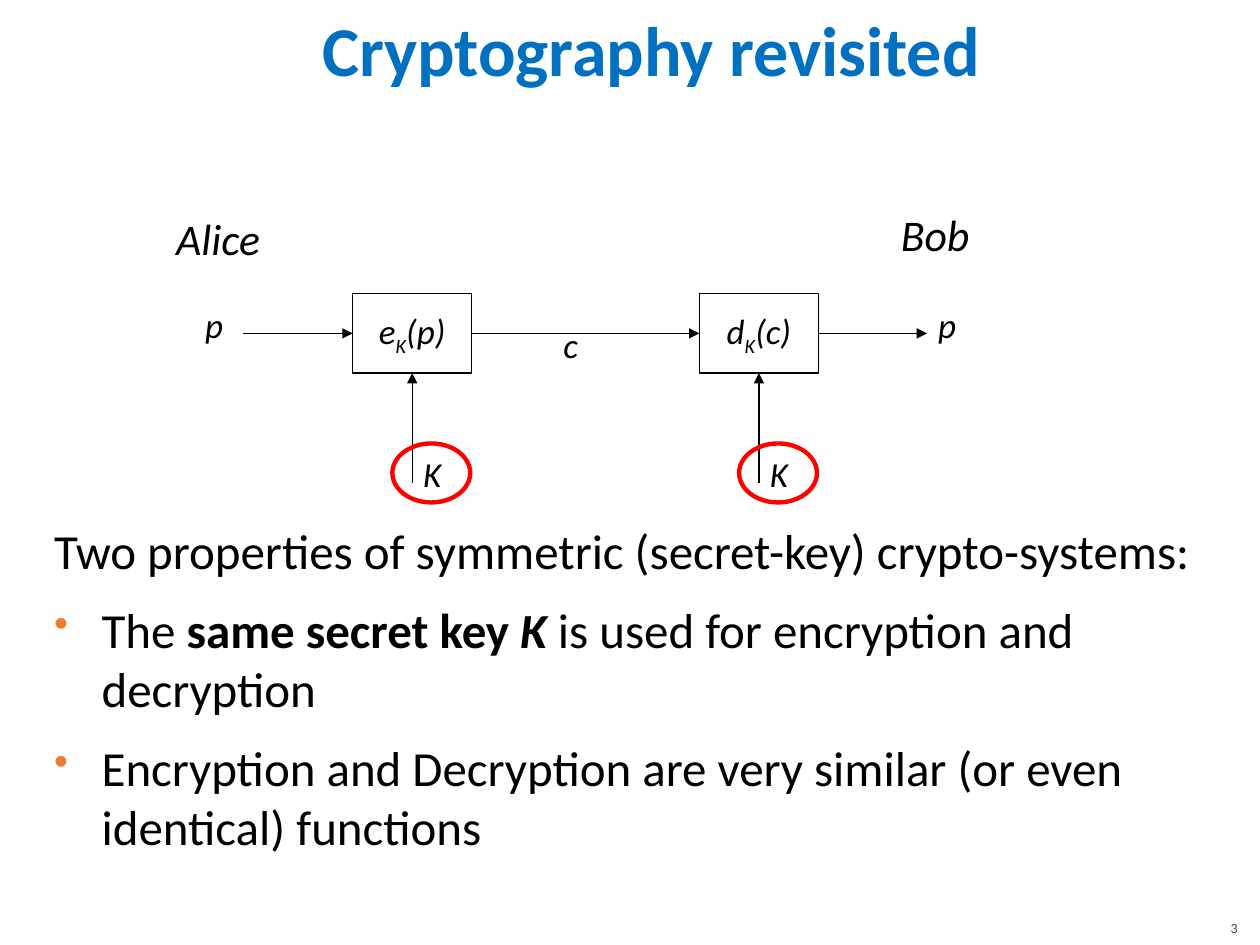
from lxml import etree
from pptx import Presentation
from pptx.dml.color import RGBColor
from pptx.enum.shapes import MSO_CONNECTOR, MSO_SHAPE
from pptx.enum.text import MSO_ANCHOR, PP_ALIGN
from pptx.oxml.ns import qn
from pptx.util import Cm, Pt

LEFT, MID = PP_ALIGN.LEFT, PP_ALIGN.CENTER
TOP, CENTER = MSO_ANCHOR.TOP, MSO_ANCHOR.MIDDLE
RECT, OVAL = MSO_SHAPE.RECTANGLE, MSO_SHAPE.OVAL
STRAIGHT = MSO_CONNECTOR.STRAIGHT

BLACK = RGBColor(0x00, 0x00, 0x00)
BLUE = RGBColor(0x00, 0x70, 0xC0)
NAVY = RGBColor(0x39, 0x40, 0x73)
RED = RGBColor(0xFF, 0x00, 0x00)
ORANGE = RGBColor(0xED, 0x7D, 0x31)
FONT = "Calibri"
PAD = (0.25, 0.13, 0.25, 0.13)
NONE = (0, 0, 0, 0)


def add_runs(para, parts, size, color=BLACK, bold=False, italic=False, align=LEFT):
    """Parts is a string or a list of (text, marks); marks: b bold, i italic, s subscript."""
    para.alignment = align
    for text, marks in [(parts, "")] if isinstance(parts, str) else parts:
        run = para.add_run()
        run.text = text
        font = run.font
        font.name, font.size, font.color.rgb = FONT, Pt(size), color
        font.bold, font.italic = bold or "b" in marks, italic or "i" in marks
        if "s" in marks:
            run._r.get_or_add_rPr().set("baseline", "-25000")


def set_frame(frame, pad, anchor=TOP, wrap=True):
    frame.word_wrap, frame.vertical_anchor = wrap, anchor
    (frame.margin_left, frame.margin_top,
     frame.margin_right, frame.margin_bottom) = map(Cm, pad)


def add_text(slide, box, parts, size, pad=PAD, anchor=TOP, wrap=True, **form):
    frame = slide.shapes.add_textbox(*map(Cm, box)).text_frame
    set_frame(frame, pad, anchor, wrap)
    add_runs(frame.paragraphs[0], parts, size, **form)


def add_outline(slide, kind, box, color, width):
    shape = slide.shapes.add_shape(kind, *map(Cm, box))
    shape.shadow.inherit = False
    shape.fill.background()
    shape.line.color.rgb, shape.line.width = color, Pt(width)
    return shape


def add_arrow(slide, *ends):
    arrow = slide.shapes.add_connector(STRAIGHT, *map(Cm, ends))
    arrow.line.color.rgb, arrow.line.width = BLACK, Pt(0.75)
    props = arrow._element.spPr
    etree.SubElement(props.find(qn("a:ln")), qn("a:tailEnd"), type="triangle")
    etree.SubElement(props, qn("a:effectLst"))


def add_bullet(para):
    props = para._p.get_or_add_pPr()
    tint = etree.SubElement(props, qn("a:buClr"))
    etree.SubElement(tint, qn("a:srgbClr"), val=str(ORANGE))
    etree.SubElement(props, qn("a:buSzPct"), val="85000")
    etree.SubElement(props, qn("a:buChar"), char="•")


def draw_stage(slide, left, top, name, arg):
    """One cipher box with its key arrow, key label and red ring."""
    wide, high = 2.4, 1.6
    mid = left + wide / 2
    cell = add_outline(slide, RECT, (left, top, wide, high), BLACK, 0.75)
    set_frame(cell.text_frame, NONE, CENTER)
    add_runs(cell.text_frame.paragraphs[0],
             [(name, ""), ("K", "s"), (f"({arg})", "")], 20, italic=True, align=MID)
    add_arrow(slide, mid, top + 3.81, mid, top + high)
    draw_label(slide, mid, top + 3.2, "K")
    add_outline(slide, OVAL, (left + 0.8, top + 3.02, 1.57, 1.19), RED, 2.5)


def draw_label(slide, left, top, text):
    add_text(slide, (left, top, 0.81, 0.84), text, 20, pad=NONE,
             italic=True, align=MID)


def draw_cipher(slide, left, top):
    """The flow from plain text through both stages and back."""
    for start, end in ((0.99, 3.2), (5.6, 10.19), (12.59, 14.78)):
        add_arrow(slide, left + start, top + 0.8, left + end, top + 0.8)
    draw_stage(slide, left + 3.2, top, "e", "p")
    draw_stage(slide, left + 10.19, top, "d", "c")
    for x, y, text in ((0, 0.2, "p"), (7.19, 0.61, "c"), (14.78, 0.2, "p")):
        draw_label(slide, left + x, top + y, text)
    for x, y, name in ((-0.61, -1.78, "Alice"), (14, -1.86, "Bob")):
        add_text(slide, (left + x, top + y, 3.15, 1.32), name, 25, italic=True)


def draw_points(slide, box):
    frame = slide.shapes.add_textbox(*map(Cm, box)).text_frame
    set_frame(frame, PAD)
    points = [
        "Two properties of symmetric (secret-key) crypto-systems:",
        [("The ", ""), ("same secret key ", "b"), ("K ", "bi"),
         ("is used for encryption and decryption", "")],
        "Encryption and Decryption are very similar (or even identical) functions",
    ]
    for i, parts in enumerate(points):
        para = frame.add_paragraph() if i else frame.paragraphs[0]
        para.space_after = Pt(6)
        if i:
            para.space_before = Pt(5.6)
            props = para._p.get_or_add_pPr()
            props.set("marL", str(Cm(0.96)))
            props.set("indent", str(-Cm(0.96)))
            add_bullet(para)
        add_runs(para, parts, 28)


def main():
    deck = Presentation()
    deck.slide_width, deck.slide_height = Cm(25.4), Cm(19.05)
    slide = deck.slides.add_slide(deck.slide_layouts[6])
    add_text(slide, (0.64, 0.05, 24.33, 1.85), "Cryptography revisited", 40,
             pad=(0.89, 0.13, 0.25, 0.13), anchor=CENTER,
             color=BLUE, bold=True, align=MID)
    draw_points(slide, (0.84, 10.36, 23.93, 8.28))
    draw_cipher(slide, 3.91, 5.92)
    add_text(slide, (24.56, 18.41, 0.84, 0.61), "3", 8, wrap=False, color=NAVY)
    deck.save("out.pptx")


if __name__ == "__main__":
    main()
